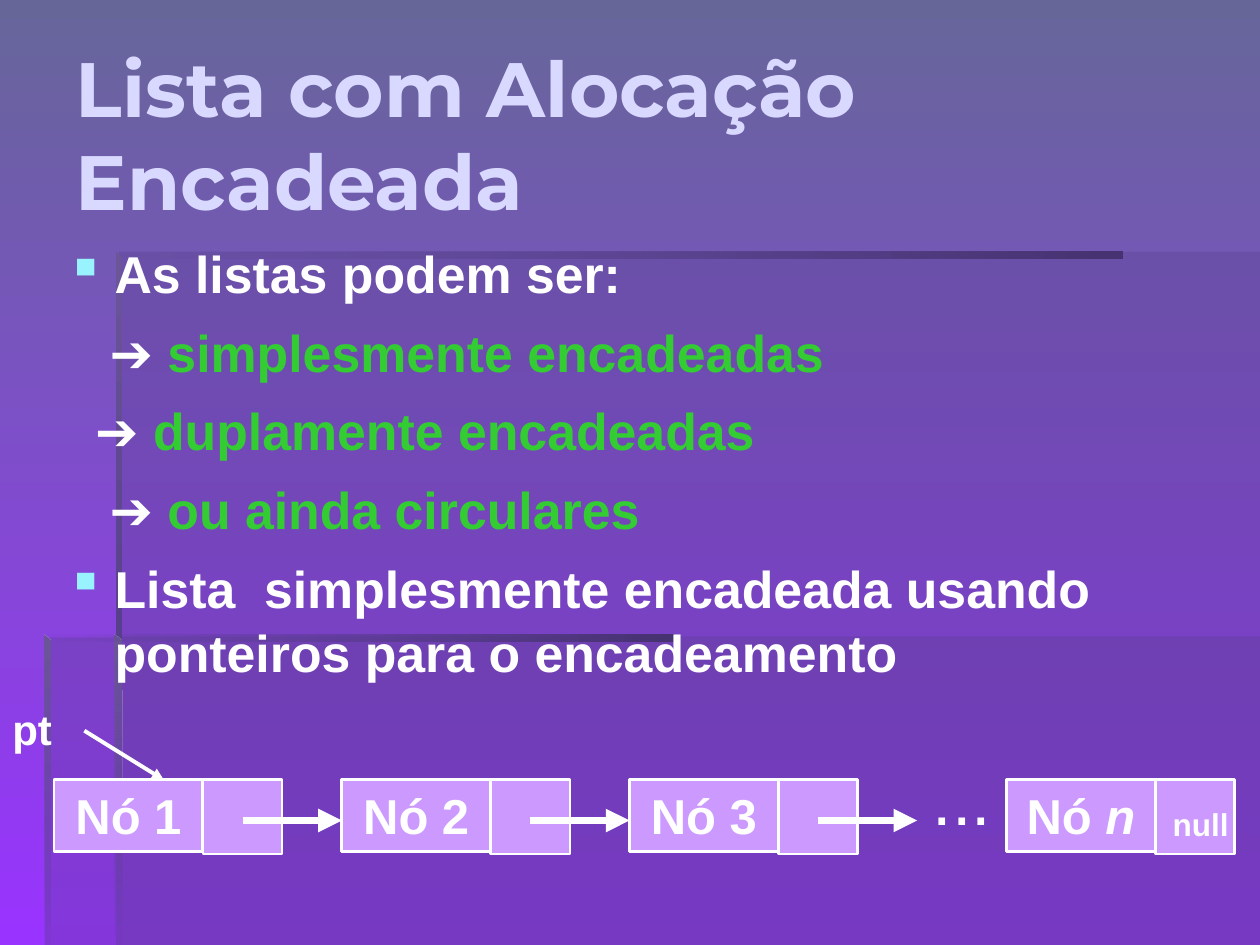
from lxml.etree import SubElement
from pptx import Presentation
from pptx.dml.color import RGBColor
from pptx.enum.shapes import MSO_CONNECTOR, MSO_SHAPE
from pptx.enum.text import MSO_ANCHOR, MSO_AUTO_SIZE, PP_ALIGN
from pptx.oxml.ns import qn
from pptx.util import Cm, Pt

COLORS = {
    "sky": "666699", "violet": "9933FF", "panel": "573F8B",
    "dark": "473371", "light": "6B5698", "title": "D9D9FF",
    "white": "FFFFFF", "green": "33CC33", "bullet": "99F3FF", "node": "CC99FF",
}
WIDTH, HEIGHT = 25.4, 19.05
DOWN, LEFTWARD = 270, 180


def rgb(name):
    return RGBColor.from_string(COLORS[name])


def write(paragraph, text, size=28, color="white", bold=True, italic=None, font="Arial"):
    run = paragraph.add_run()
    run.text = text
    run.font.name = font
    run.font.size = Pt(size)
    run.font.bold = bold
    run.font.italic = italic
    run.font.color.rgb = rgb(color)


class SlideBuilder:
    def __init__(self, slide):
        self.slide = slide
        self.shapes = slide.shapes

    def gradient(self, fill, start, end, angle):
        fill.gradient()
        fill.gradient_angle = angle
        for stop, color in zip(fill.gradient_stops, (start, end)):
            stop.color.rgb = rgb(color)

    def opacity(self, shape, percent):
        color = list(shape._element.spPr.iter(qn("a:srgbClr")))[-1]
        SubElement(color, qn("a:alpha")).set("val", str(percent * 1000))

    def outline(self, points):
        vertices = [(Cm(x), Cm(y)) for x, y in points]
        builder = self.shapes.build_freeform(*vertices[0])
        builder.add_line_segments(vertices[1:], close=True)
        shape = builder.convert_to_shape()
        shape.shadow.inherit = False
        shape.line.fill.background()
        return shape

    def panel(self, points):
        shape = self.outline(points)
        shape.fill.solid()
        shape.fill.fore_color.rgb = rgb("panel")
        self.opacity(shape, 30)

    def edge(self, points, start, angle, end_opacity):
        shape = self.outline(points)
        self.gradient(shape.fill, start, "panel", angle)
        self.opacity(shape, end_opacity)

    def title(self, text, left, top, width, height):
        title = self.shapes.title
        title.left, title.top, title.width, title.height = map(Cm, (left, top, width, height))
        frame = title.text_frame
        frame.auto_size = MSO_AUTO_SIZE.NONE
        frame.vertical_anchor = MSO_ANCHOR.MIDDLE
        paragraph = frame.paragraphs[0]
        paragraph.alignment = PP_ALIGN.LEFT
        write(paragraph, text, size=44, color="title", font="Montserrat")

    def text_box(self, left, top, width, height):
        frame = self.shapes.add_textbox(*map(Cm, (left, top, width, height))).text_frame
        frame.word_wrap = True
        return frame

    def label(self, text, left, top, width, height, align=PP_ALIGN.LEFT, **text_format):
        paragraph = self.text_box(left, top, width, height).paragraphs[0]
        paragraph.alignment = align
        write(paragraph, text, **text_format)

    def body(self, items, left, top, width, height):
        frame = self.text_box(left, top, width, height)
        for index, (text, indent) in enumerate(items):
            paragraph = frame.add_paragraph() if index else frame.paragraphs[0]
            paragraph.space_before = Pt(8)
            paragraph.line_spacing = 1.04
            if indent is None:
                self.bullet(paragraph)
                write(paragraph, text, size=29.6)
            else:
                paragraph._p.get_or_add_pPr().set("marL", str(Cm(indent)))
                write(paragraph, "➔ ", size=29.6)
                write(paragraph, text, size=29.6, color="green")

    def bullet(self, paragraph):
        properties = paragraph._p.get_or_add_pPr()
        properties.set("marL", str(Cm(0.97)))
        properties.set("indent", str(-Cm(0.97)))
        color = SubElement(properties, qn("a:buClr"))
        SubElement(color, qn("a:srgbClr")).set("val", COLORS["bullet"])
        SubElement(properties, qn("a:buChar")).set("char", "▪")

    def box(self, left, top, width, height):
        shape = self.shapes.add_shape(MSO_SHAPE.RECTANGLE, *map(Cm, (left, top, width, height)))
        shape.shadow.inherit = False
        shape.fill.solid()
        shape.fill.fore_color.rgb = rgb("node")
        shape.line.color.rgb = rgb("white")
        shape.line.width = Pt(1.5)
        return shape

    def node(self, left, name):
        frame = self.box(left, 15.72, 3, 1.45).text_frame
        frame.vertical_anchor = MSO_ANCHOR.TOP
        paragraph = frame.paragraphs[0]
        paragraph.alignment = PP_ALIGN.CENTER
        write(paragraph, "Nó ")
        write(paragraph, name, italic=name.isalpha())
        self.box(left + 3, 15.72, 1.6, 1.5)

    def arrow(self, start_x, start_y, end_x, end_y, width):
        connector = self.shapes.add_connector(
            MSO_CONNECTOR.STRAIGHT, *map(Cm, (start_x, start_y, end_x, end_y)))
        connector.line.color.rgb = rgb("white")
        connector.line.width = Pt(width)
        SubElement(connector.line._get_or_add_ln(), qn("a:tailEnd")).set("type", "triangle")
        SubElement(connector._element.spPr, qn("a:effectLst"))


def main():
    presentation = Presentation()
    presentation.slide_width, presentation.slide_height = Cm(WIDTH), Cm(HEIGHT)
    builder = SlideBuilder(presentation.slides.add_slide(presentation.slide_layouts[5]))
    builder.gradient(builder.slide.background.fill, "sky", "violet", DOWN)

    builder.panel([(2.34, 12.83), (2.34, HEIGHT), (WIDTH, HEIGHT), (WIDTH, 12.83)])
    builder.panel([(2.39, 12.85), (0.91, 12.85), (0.91, HEIGHT),
                   (WIDTH, HEIGHT), (WIDTH, 5.08), (2.39, 5.08)])
    edges = [
        ([(2.34, 5.08), (2.34, 5.21), (22.63, 5.21), (22.63, 5.08)], "dark", LEFTWARD, 0),
        ([(2.34, 5.08), (2.34, 12.95), (2.46, 12.95), (2.44, 5.18)], "light", DOWN, 100),
        ([(2.31, 12.8), (2.31, HEIGHT), (2.46, HEIGHT), (2.44, 12.9)], "light", DOWN, 0),
        ([(0.89, 12.8), (0.89, 12.93), (13.59, 12.93), (13.59, 12.8)], "dark", LEFTWARD, 0),
        ([(0.89, 12.8), (0.89, HEIGHT), (1.02, HEIGHT), (1.02, 12.93)], "light", DOWN, 10),
    ]
    for edge in edges:
        builder.edge(*edge)

    builder.title("Lista com Alocação Encadeada", 1.27, 0.69, 23.29, 3.99)
    builder.body([
        ("As listas podem ser:", None),
        ("simplesmente encadeadas", 0.87),
        ("duplamente encadeadas", 0.58),
        ("ou ainda circulares", 0.87),
        ("Lista  simplesmente encadeada usando ponteiros para o encadeamento", None),
    ], 1.09, 4.7, 24.31, 9.04)

    for index in range(3):
        left = 1.09 + 5.8 * index
        builder.node(left, str(index + 1))
        builder.arrow(left + 3.8, 16.54, left + 5.8, 16.54, 4.5)
    builder.node(20.29, "n")
    builder.arrow(1.7, 14.73, 3.3, 15.72, 2.25)
    builder.label("pt", 0, 14.05, 1.9, 1.27, size=24)
    builder.label("...", 17.3, 15.11, 4.19, 1.96, align=PP_ALIGN.CENTER, size=40, bold=False)
    builder.label("null", 23.39, 16.1, 1.9, 1.02, size=18)

    presentation.save("out.pptx")


if __name__ == "__main__":
    main()
